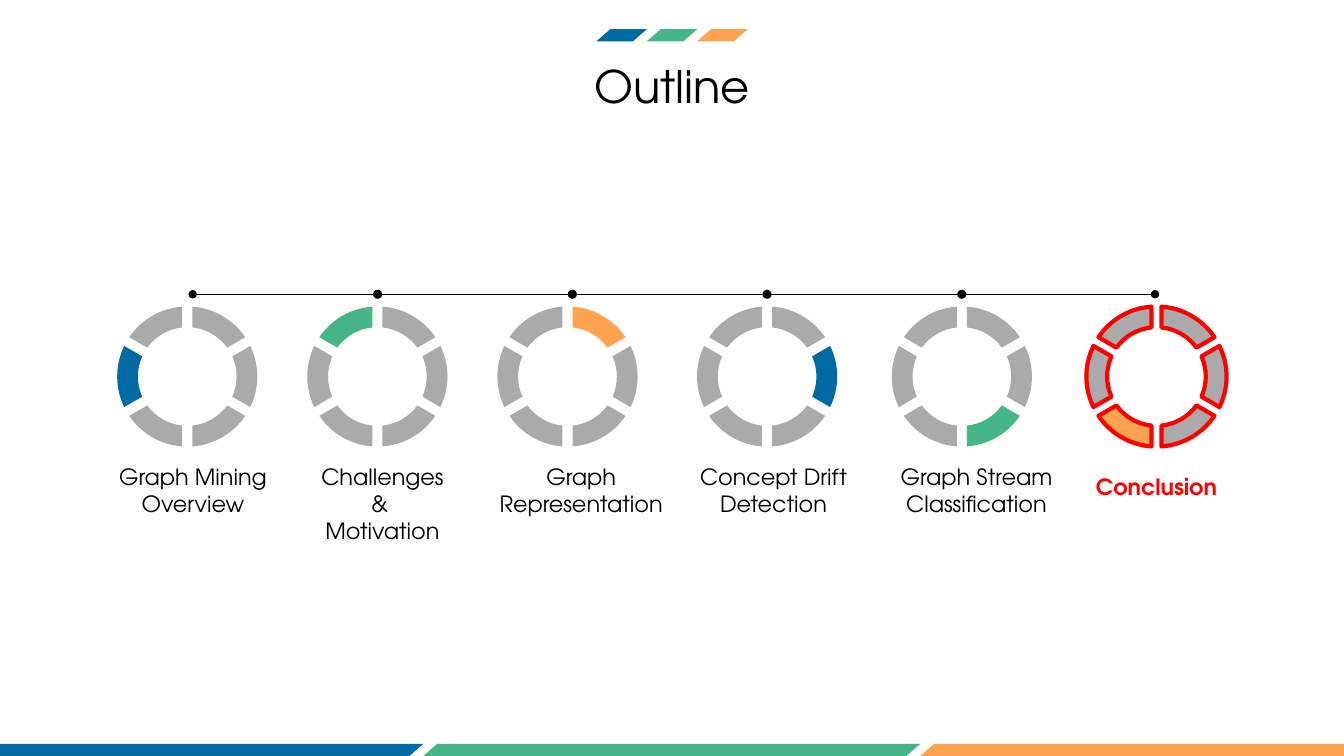
from math import asin, cos, pi, sin, tan

from lxml.etree import SubElement
from pptx import Presentation
from pptx.dml.color import RGBColor
from pptx.enum.shapes import MSO_CONNECTOR, MSO_SHAPE
from pptx.enum.text import MSO_ANCHOR, PP_ALIGN
from pptx.oxml.ns import qn
from pptx.util import Pt

BLUE = RGBColor(0x01, 0x6A, 0xA3)
GREEN = RGBColor(0x46, 0xB6, 0x88)
ORANGE = RGBColor(0xFE, 0xA3, 0x4F)
GREY = RGBColor(0xAA, 0xAA, 0xAA)
RED = RGBColor(0xFF, 0x00, 0x00)
BLACK = RGBColor(0x00, 0x00, 0x00)
ACCENTS = (BLUE, GREEN, ORANGE)

FONT = "TeX Gyre Adventor"
RING_TOP, RING_SIZE, RING_BAND = 218.9, 100.1, 14.8
SEGMENTS, SEGMENT_GAP = 6, 7.2

# Ring left, label text, label left, top, width and height
TOPICS = (
    (83.7, "Graph Mining Overview", (83.5, 330.9, 108.7, 38.9)),
    (219.5, "Challenges\n& \nMotivation", (218.9, 330.9, 108.7, 58.3)),
    (355.3, "Graph Representation", (355.4, 330.9, 119.5, 38.9)),
    (497.9, "Concept Drift\nDetection", (448.6, 330.9, 208, 38.9)),
    (637, "Graph Stream\nClassification", (636.7, 330.9, 121.7, 38.9)),
    (776, "Conclusion", (771.7, 337.7, 108.7, 19.4)),
)


def paint(shape, fill, outline=None):
    shape.shadow.inherit = False
    shape.fill.solid()
    shape.fill.fore_color.rgb = fill
    if outline is None:
        shape.line.fill.background()
    else:
        shape.line.color.rgb = outline
        shape.line.width = Pt(3)


def add_text(page, text, left, top, width, height, size, color=BLACK, bold=False):
    box = page.shapes.add_textbox(Pt(left), Pt(top), Pt(width), Pt(height))
    frame = box.text_frame
    frame.word_wrap = True
    frame.margin_left = frame.margin_right = frame.margin_top = frame.margin_bottom = 0
    frame.text = text
    for para in frame.paragraphs:
        para.alignment = PP_ALIGN.CENTER
        for span in para.runs:
            span.font.name = FONT
            span.font.size = Pt(size)
            span.font.bold = bold
            span.font.color.rgb = color
    return frame


def add_stripes(page, left, top, width, height):
    """Three slanted stripes side by side, filling the box."""
    group = page.shapes.add_group_shape()
    step = width / len(ACCENTS)
    for index, color in enumerate(ACCENTS):
        stripe = group.shapes.add_shape(
            MSO_SHAPE.PARALLELOGRAM,
            Pt(left + index * step), Pt(top), Pt(step), Pt(height))
        stripe.adjustments[0] = 1.144
        paint(stripe, color)


def arc_points(center_x, center_y, radius, segment, curves, direction):
    """Start, then two handles and an end for each curve of one segment's edge."""
    half_sweep = pi / SEGMENTS - asin(SEGMENT_GAP / 2 / radius)
    middle = (2 * segment + 1) * pi / SEGMENTS
    step = direction * 2 * half_sweep / curves
    reach = 4 / 3 * tan(step / 4)

    def place(angle, handle=0):
        return (Pt(center_x + radius * (sin(angle) + handle * cos(angle))),
                Pt(center_y - radius * (cos(angle) - handle * sin(angle))))

    angle = middle - direction * half_sweep
    points = [place(angle)]
    for _ in range(curves):
        points += [place(angle, reach), place(angle + step, -reach), place(angle + step)]
        angle += step
    return points


def bend(shape, curves):
    """Merge each handle-handle-end triple of lines into one cubic curve."""
    lines = list(shape._element.iter(qn("a:lnTo")))
    edge = 3 * curves
    for first in [*range(0, edge, 3), *range(edge + 1, 2 * edge + 1, 3)]:
        start, *others = lines[first:first + 3]
        curve = start.getparent().makeelement(qn("a:cubicBezTo"))
        start.addprevious(curve)
        for line in (start, *others):
            curve.append(line[0])
            line.getparent().remove(line)


def add_ring(page, left, top, size, lit_segment, lit_color, outline):
    group = page.shapes.add_group_shape()
    radius = size / 2
    center = (left + radius, top + radius)
    for segment in range(SEGMENTS):
        curves = 2 if segment % 3 == 1 else 1  # side segments split at their widest
        points = (arc_points(*center, radius, segment, curves, 1)
                  + arc_points(*center, radius - RING_BAND, segment, curves, -1))
        builder = group.shapes.build_freeform(*points[0], scale=1.0)
        builder.add_line_segments(points[1:], close=True)
        piece = builder.convert_to_shape()
        bend(piece, curves)
        paint(piece, lit_color if segment == lit_segment else GREY, outline)


def add_timeline(page, left, middle, width):
    line = page.shapes.add_connector(
        MSO_CONNECTOR.STRAIGHT, Pt(left), Pt(middle), Pt(left + width), Pt(middle))
    line.line.color.rgb = BLACK
    line.line.width = Pt(0.5)
    outline = line.line._get_or_add_ln()
    for end in ("a:headEnd", "a:tailEnd"):
        SubElement(outline, qn(end), type="oval")
    SubElement(line._element.spPr, qn("a:effectLst"))

    # Inner dots at equal steps
    dot_size, first_dot, dot_step = 6.5, 132.1, 139.1
    for index in range(4):
        dot = page.shapes.add_shape(
            MSO_SHAPE.OVAL,
            Pt(left + first_dot + index * dot_step - dot_size / 2),
            Pt(middle - dot_size / 2), Pt(dot_size), Pt(dot_size))
        paint(dot, BLACK)


def add_topics(page):
    for index, (ring_left, label, label_box) in enumerate(TOPICS):
        current = index == len(TOPICS) - 1
        add_ring(page, ring_left, RING_TOP, RING_SIZE,
                 (index + 4) % SEGMENTS, ACCENTS[index % len(ACCENTS)],
                 RED if current else None)
        add_text(page, label, *label_box, 16, RED if current else BLACK, current)


def add_outline_slide(deck):
    page = deck.slides.add_slide(deck.slide_layouts[6])
    # Header
    title = add_text(page, "Outline", 272.9, 41.8, 414.7, 38.9, 32)
    title.vertical_anchor = MSO_ANCHOR.MIDDLE
    add_stripes(page, 426, 20.9, 108, 8.64)
    # Topics under the timeline
    add_timeline(page, 137.6, 210.2, 687.4)
    add_topics(page)
    # Footer
    add_stripes(page, -52.6, 531.36, 1064.9, 8.64)


def main():
    deck = Presentation()
    deck.slide_width, deck.slide_height = Pt(960), Pt(540)
    add_outline_slide(deck)
    deck.save("out.pptx")


if __name__ == "__main__":
    main()
